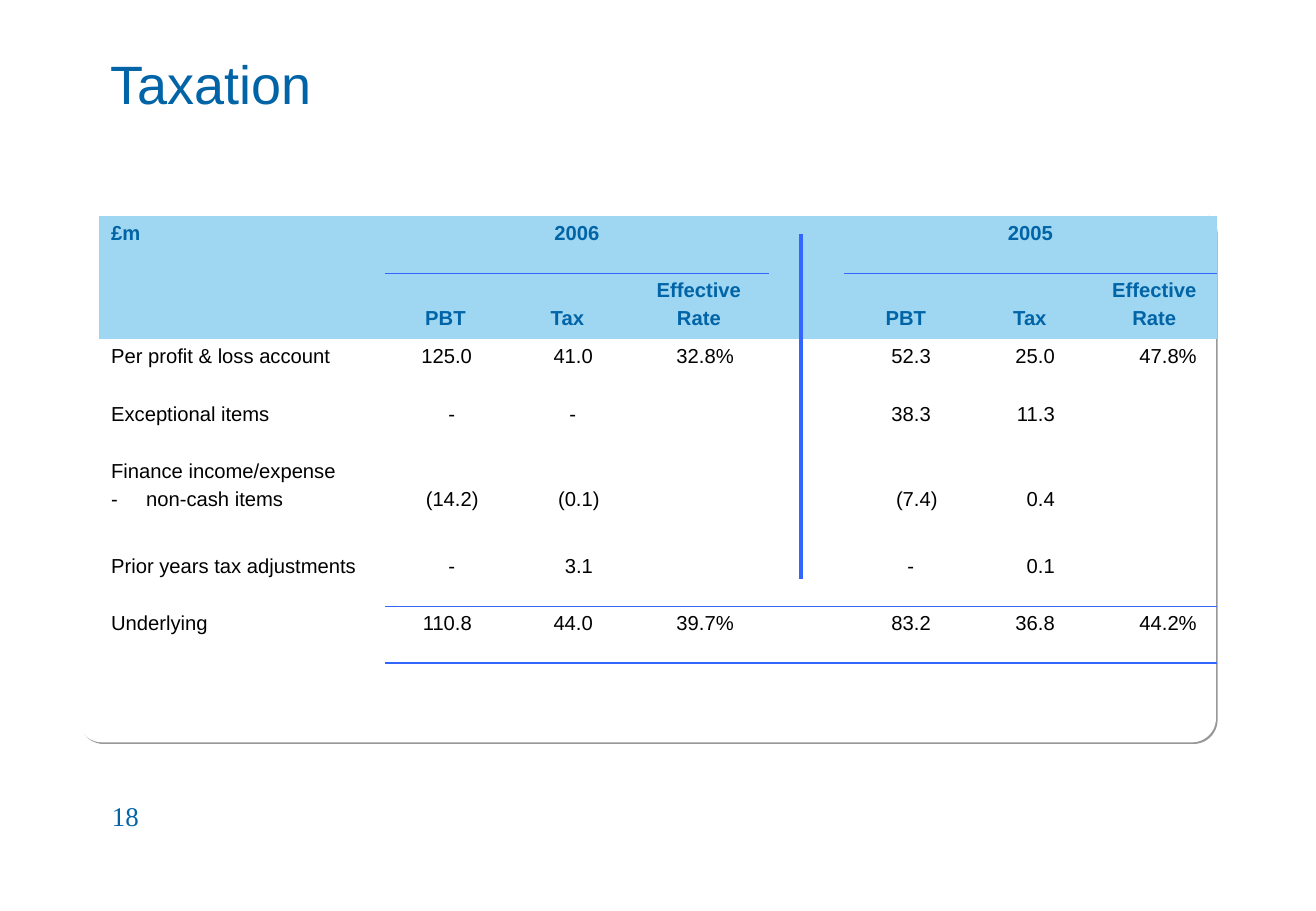
from lxml import etree
from pptx import Presentation
from pptx.dml.color import RGBColor
from pptx.enum.shapes import MSO_CONNECTOR, MSO_SHAPE
from pptx.enum.text import MSO_ANCHOR, PP_ALIGN
from pptx.oxml.ns import qn
from pptx.util import Emu, Inches, Pt

LEFT, CENTER = PP_ALIGN.LEFT, PP_ALIGN.CENTER
MIDDLE = MSO_ANCHOR.MIDDLE
ROUNDED, STRAIGHT = MSO_SHAPE.ROUNDED_RECTANGLE, MSO_CONNECTOR.STRAIGHT
TITLE_ONLY = 5

EMU_PER_PX = 7532
NAVY, BLUE, SKY = "0064A6", "3366FF", "9FD6F1"
BLACK, WHITE, GREY = "000000", "FFFFFF", "989898"
NO_GRID_STYLE = "{2D5ABB26-0587-4C30-8999-92F81FD0307C}"

COLUMNS = [123, 163, 121, 123, 140, 75, 124, 124, 125]
ROWS = [57, 66, 58, 57, 95, 57, 57, 57]
YEAR_COLUMNS = {2: "2006", 6: "2005"}
MEASURES = ["PBT", "Tax", "Effective\nRate"]
TAX_LINES = [
    ("Per profit & loss account", ["125.0", "41.0", "32.8%"], ["52.3", "25.0", "47.8%"]),
    ("Exceptional items", ["-", "-"], ["38.3", "11.3"]),
    ("Finance income/expense\n-\tnon-cash items", ["(14.2)", "(0.1)"], ["(7.4)", "0.4"]),
    ("Prior years tax adjustments", ["-", "3.1"], ["-", "0.1"]),
    ("Underlying", ["110.8", "44.0", "39.7%"], ["83.2", "36.8", "44.2%"]),
]
# Row above each rule: (columns, points)
RULES = {
    0: ([2, 3, 4, 6, 7, 8], 0.45),
    5: (range(2, 9), 0.45),
    6: (range(2, 9), 1.08),
}
SECOND_LINE = 34
DECIMAL_TAB = 58
DASH_TAB = 35


def px(length):
    return Emu(length * EMU_PER_PX)


def rgb(value):
    return RGBColor.from_string(value)


def add_element(parent, tag, **attributes):
    return etree.SubElement(parent, qn(tag), attributes)


def add_tab(paragraph, position, align):
    tabs = add_element(paragraph._p.get_or_add_pPr(), "a:tabLst")
    add_element(tabs, "a:tab", pos=str(px(position)), algn=align)


def format_text(frame, size, color, font="Arial", bold=False, align=LEFT):
    for index, paragraph in enumerate(frame.paragraphs):
        paragraph.alignment = align
        if index:
            paragraph.space_before = Pt(3)
        for run in paragraph.runs:
            run.font.size = Pt(size)
            run.font.name = font
            run.font.bold = bold
            run.font.color.rgb = rgb(color)


def add_title(slide, text):
    title = slide.shapes.title
    title.left, title.top, title.width, title.height = px(98), px(7), px(1118), px(152)
    title.text_frame.text = text
    title.text_frame.vertical_anchor = MIDDLE
    format_text(title.text_frame, 32, NAVY)


def add_panel(slide):
    panel = slide.shapes.add_shape(ROUNDED, px(78), px(208), px(1138), px(534))
    panel.adjustments[0] = 0.045
    panel.fill.solid()
    panel.fill.fore_color.rgb = rgb(WHITE)
    panel.line.fill.background()
    panel.shadow.inherit = False
    effects = panel.element.spPr.find(qn("a:effectLst"))
    shadow = add_element(effects, "a:outerShdw", dist=str(Pt(1.4)), dir="2700000",
                         algn="ctr", rotWithShape="0")
    add_element(shadow, "a:srgbClr", val=GREY)


def add_divider(slide, x, top, bottom):
    divider = slide.shapes.add_connector(STRAIGHT, px(x), px(top), px(x), px(bottom))
    divider.line.color.rgb = rgb(BLUE)
    divider.line.width = Pt(2.25)
    add_element(divider.element.spPr, "a:effectLst")


def add_page_number(slide, text):
    box = slide.shapes.add_textbox(px(100), px(793), px(274), px(61))
    box.text_frame.word_wrap = True
    box.text_frame.text = text
    format_text(box.text_frame, 16, NAVY, font="Times New Roman")


def fill_header(cell, text, align=CENTER):
    cell.text_frame.text = text
    format_text(cell.text_frame, 12, NAVY, bold=True, align=align)


def fill_label(cell, text):
    cell.text_frame.text = text
    format_text(cell.text_frame, 12, BLACK)
    for paragraph in cell.text_frame.paragraphs[1:]:
        add_tab(paragraph, DASH_TAB, "l")


def fill_amount(cell, amount):
    cell.text_frame.text = "\t" + amount
    format_text(cell.text_frame, 12, BLACK)
    add_tab(cell.text_frame.paragraphs[0], DECIMAL_TAB, "dec")


def rule_width(row, column):
    columns, points = RULES.get(row, ([], 0))
    return points if column in columns else 0


def set_borders(cell, top, bottom):
    properties = cell._tc.get_or_add_tcPr()
    sides = [("a:lnL", 0), ("a:lnR", 0), ("a:lnT", top), ("a:lnB", bottom)]
    for index, (side, points) in enumerate(sides):
        border = etree.Element(qn(side), w=str(Pt(points)))
        if points:
            add_element(add_element(border, "a:solidFill"), "a:srgbClr", val=BLUE)
        else:
            add_element(border, "a:noFill")
        properties.insert(index, border)


def add_tax_table(slide):
    frame = slide.shapes.add_table(len(ROWS), len(COLUMNS), px(99), px(216),
                                   px(sum(COLUMNS)), px(sum(ROWS)))
    table = frame.table
    table.first_row = table.horz_banding = False
    for style in frame.element.iter(qn("a:tableStyleId")):
        style.text = NO_GRID_STYLE
    for column, width in zip(table.columns, COLUMNS):
        column.width = px(width)

    # Fills and horizontal rules
    for row, height in enumerate(ROWS):
        table.rows[row].height = px(height)
        for column in range(len(COLUMNS)):
            cell = table.cell(row, column)
            if row < 2:
                cell.fill.solid()
                cell.fill.fore_color.rgb = rgb(SKY)
            else:
                cell.fill.background()
            set_borders(cell, rule_width(row - 1, column), rule_width(row, column))

    # Header: years over their measures
    fill_header(table.cell(0, 0), "£m", LEFT)
    for first, year in YEAR_COLUMNS.items():
        table.cell(0, first).merge(table.cell(0, first + 2))
        fill_header(table.cell(0, first), year)
        for column, measure in enumerate(MEASURES, first):
            heading = table.cell(1, column)
            fill_header(heading, measure)
            if "\n" not in measure:
                heading.margin_top = px(SECOND_LINE)

    # Body: one line of the tax reconciliation per row
    for row, (label, *years) in enumerate(TAX_LINES, 2):
        table.cell(row, 0).merge(table.cell(row, 1))
        fill_label(table.cell(row, 0), label)
        for first, amounts in zip(YEAR_COLUMNS, years):
            for column, amount in enumerate(amounts, first):
                fill_amount(table.cell(row, column), amount)
                if "\n" in label:
                    table.cell(row, column).margin_top = px(SECOND_LINE)


def main():
    presentation = Presentation()
    presentation.slide_width, presentation.slide_height = Inches(10.84), Inches(7.5)
    slide = presentation.slides.add_slide(presentation.slide_layouts[TITLE_ONLY])
    add_panel(slide)
    add_title(slide, "Taxation")
    add_tax_table(slide)
    add_divider(slide, 801, 234, 579)
    add_page_number(slide, "18")
    presentation.save("out.pptx")


if __name__ == "__main__":
    main()
